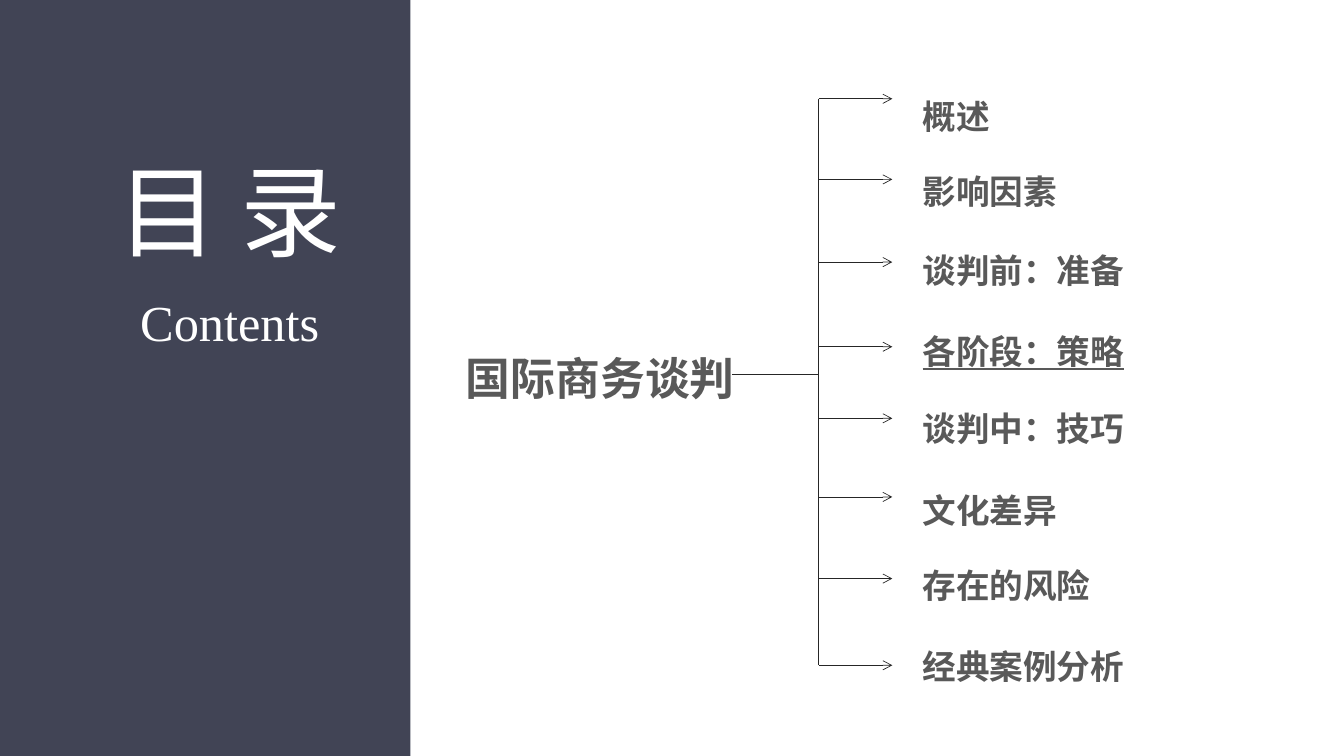
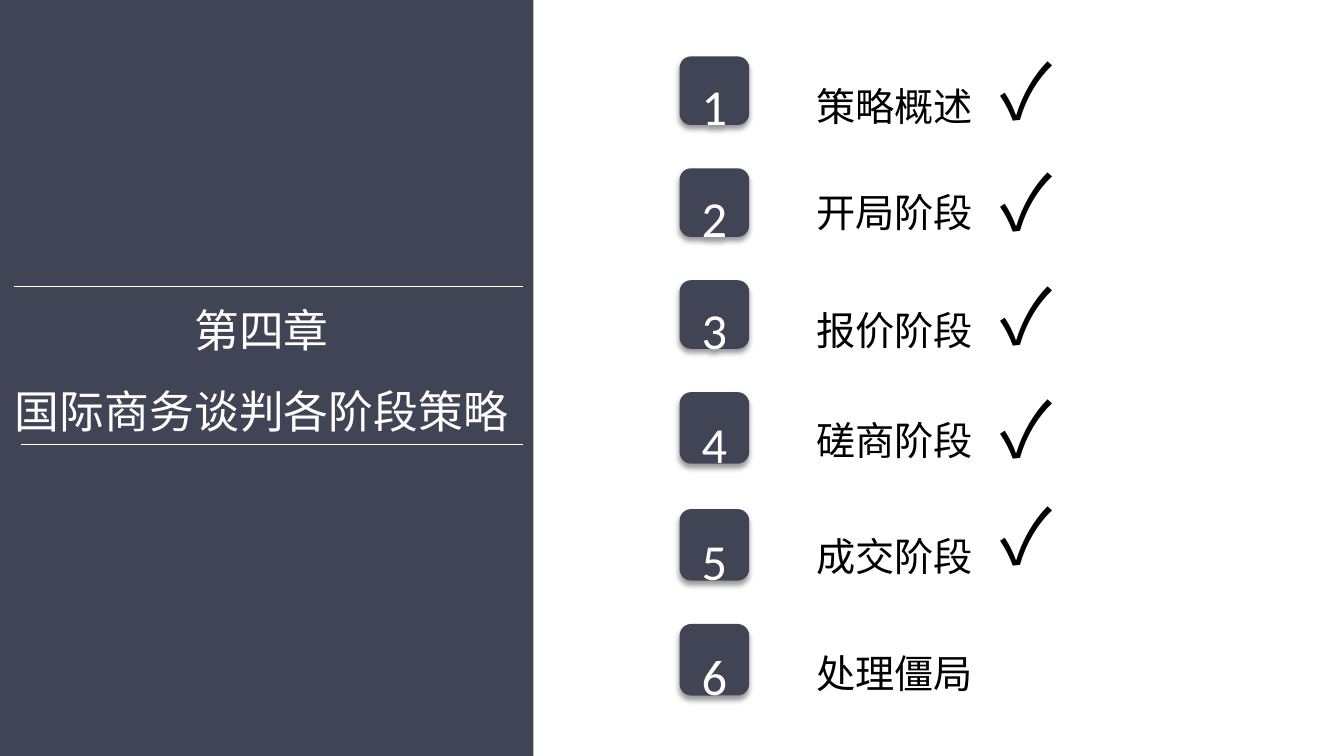
from dataclasses import dataclass

from lxml.etree import SubElement
from pptx import Presentation
from pptx.dml.color import RGBColor
from pptx.enum.shapes import MSO_CONNECTOR, MSO_SHAPE
from pptx.enum.text import MSO_ANCHOR, MSO_AUTO_SIZE, PP_ALIGN
from pptx.oxml.ns import qn
from pptx.util import Inches, Pt

CELL = 0.1  # inches per grid column and row
COLS, ROWS = 133.3, 75


class Theme:
    navy = RGBColor.from_string("414455")
    white = RGBColor.from_string("FFFFFF")
    gray = RGBColor.from_string("595959")
    ink = RGBColor.from_string("262626")
    black = RGBColor.from_string("000000")
    hair = Pt(0.5)
    cjk = "Noto Sans CJK SC"
    serif = "Times New Roman"
    title = dict(name=cjk, size=Pt(72), color=white)
    sub = dict(name=serif, size=Pt(36), color=white)
    chapter = dict(name=serif, size=Pt(32), color=white)
    topic = dict(name=cjk, size=Pt(32), color=gray, bold=True)
    item = dict(name="Karla", size=Pt(24), color=gray, bold=True)
    number = dict(name="Calibri", size=Pt(36), color=white)
    stage = dict(name=cjk, size=Pt(28), color=black)
    tick = dict(name=cjk, size=Pt(54), color=black)


@dataclass
class Box:
    """A region in grid cells."""
    x: float
    y: float
    w: float
    h: float

    def inner(self, x, y, w, h):
        return Box(self.x + x, self.y + y, w, h)

    def emu(self):
        return [Inches(n * CELL) for n in (self.x, self.y, self.w, self.h)]


def write(shape, lines, style, align=PP_ALIGN.LEFT, gap=None, **frame):
    """Fill a shape with paragraphs; frame holds text frame attributes."""
    body = shape.text_frame
    for key, val in frame.items():
        setattr(body, key, val)
    body.text = "\n".join(lines)
    for para in body.paragraphs:
        para.alignment, para.line_spacing = align, gap
        run = para.runs[0]
        for key, val in style.items():
            if key == "color":
                run.font.color.rgb = val
            else:
                setattr(run.font, key, val)
        props = run._r.get_or_add_rPr()
        SubElement(props, qn("a:ea"), typeface=Theme.cjk)


def label(slide, box, lines, style, wrap=False, **form):
    shape = slide.shapes.add_textbox(*box.emu())
    write(shape, lines, style, word_wrap=wrap,
          auto_size=MSO_AUTO_SIZE.SHAPE_TO_FIT_TEXT, **form)


def block(slide, box, kind=MSO_SHAPE.RECTANGLE):
    shape = slide.shapes.add_shape(kind, *box.emu())
    shape.shadow.inherit = False
    shape.fill.solid()
    shape.fill.fore_color.rgb = Theme.navy
    shape.line.fill.background()
    return shape


def rule(slide, box, color, arrow=False):
    """Draw a line from the top left to the bottom right of a box."""
    x, y, w, h = box.emu()
    line = slide.shapes.add_connector(
        MSO_CONNECTOR.STRAIGHT, x, y, x + w, y + h)
    line.line.color.rgb, line.line.width = color, Theme.hair
    props = line._element.spPr
    if arrow:
        SubElement(props.find(qn("a:ln")), qn("a:tailEnd"), type="arrow")
    SubElement(props, qn("a:effectLst"))


def shade(shape):
    """Add a soft shadow below a shape."""
    effects = shape._element.spPr.find(qn("a:effectLst"))
    outer = SubElement(effects, qn("a:outerShdw"), blurRad=str(Pt(4)),
                       dist=str(Pt(3)), dir="5400000", rotWithShape="0")
    color = SubElement(outer, qn("a:srgbClr"), val=str(Theme.black))
    SubElement(color, qn("a:alpha"), val="40000")


def cover(slide, box):
    block(slide, box)
    mid = PP_ALIGN.CENTER
    label(slide, box.inner(9.1, 14.3, 27.3, 13.1), ["目 录"],
          Theme.title, align=mid)
    label(slide, box.inner(12.8, 28.4, 20, 7.1), ["Contents"],
          Theme.sub, align=mid)


def tree(slide, box, topic, items):
    """Branch from a topic to items of text, text middle and arrow row."""
    trunk, reach, tall = 40.5, 7.3, 6.8
    label(slide, box.inner(4.4, 34.3, 28.9, 6.4), [topic],
          Theme.topic, align=PP_ALIGN.CENTER)
    rule(slide, box.inner(31.9, 37.1, trunk - 31.9, 0), Theme.ink)
    first, last = items[0][2], items[-1][2]
    rule(slide, box.inner(trunk, first, 0, last - first), Theme.ink)
    pad = dict(margin_left=Inches(0.07), margin_right=Inches(0.07),
               margin_top=Inches(0.04), margin_bottom=Inches(0.04))
    for text, middle, row, *under in items:
        rule(slide, box.inner(trunk, row, reach, 0), Theme.ink, arrow=True)
        label(slide, box.inner(50.1, middle - tall / 2, 36, tall), [text],
              Theme.item | dict(underline=bool(under)), wrap=True, gap=1.5,
              vertical_anchor=MSO_ANCHOR.MIDDLE, **pad)


def chapter(slide, box, lines):
    block(slide, box)
    label(slide, box.inner(0, 26.9, box.w - 1, 17.2), lines, Theme.chapter,
          wrap=True, align=PP_ALIGN.CENTER, gap=1.5)
    for left, row in ((1.4, 28.4), (2.1, 44.1)):
        rule(slide, box.inner(left, row, box.w - 1 - left, 0), Theme.white)


def steps(slide, box, stages):
    """List stages of text, badge row, badge height, text row, tick row."""
    for count, (text, top, tall, row, tick) in enumerate(stages, 1):
        badge = block(slide, box.inner(14.5, top, 6.9, tall),
                      MSO_SHAPE.ROUNDED_RECTANGLE)
        shade(badge)
        write(badge, [str(count)], Theme.number, PP_ALIGN.CENTER, 1.5,
              vertical_anchor=MSO_ANCHOR.MIDDLE, word_wrap=True)
        label(slide, box.inner(27.1, row, 17.7, 8.1), [text],
              Theme.stage, gap=1.5)
        if tick is not None:
            label(slide, box.inner(45.3, tick, 9.6, 10.1), ["✓"], Theme.tick)


def split(deck, width):
    """Add a slide and return it with its left band and right area."""
    slide = deck.slides.add_slide(deck.slide_layouts[6])
    return slide, Box(0, 0, width, ROWS), Box(width, 0, COLS - width, ROWS)


def main():
    deck = Presentation()
    deck.slide_width = Inches(COLS * CELL)
    deck.slide_height = Inches(ROWS * CELL)

    slide, band, area = split(deck, 40.7)
    cover(slide, band)
    tree(slide, area, "国际商务谈判", [
        ("概述", 10.5, 9.8),
        ("影响因素", 18, 17.8),
        ("谈判前：准备", 25.8, 26),
        ("各阶段：策略", 33.8, 34.4, "underline"),
        ("谈判中：技巧", 41.5, 41.5),
        ("文化差异", 49.6, 49.3),
        ("存在的风险", 57, 57.4),
        ("经典案例分析", 65.1, 66),
    ])

    slide, band, area = split(deck, 52.9)
    chapter(slide, band, ["第四章", "国际商务谈判各阶段策略"])
    steps(slide, area, [
        ("策略概述", 5.6, 6.8, 5.3, 3.9),
        ("开局阶段", 16.7, 6.8, 15.9, 14.9),
        ("报价阶段", 27.8, 6.8, 27.6, 26.2),
        ("磋商阶段", 38.9, 7.1, 38.5, 37.4),
        ("成交阶段", 50.5, 7.1, 50, 48),
        ("处理僵局", 61.9, 7.1, 61.6, None),
    ])
    deck.save("out.pptx")


if __name__ == "__main__":
    main()
